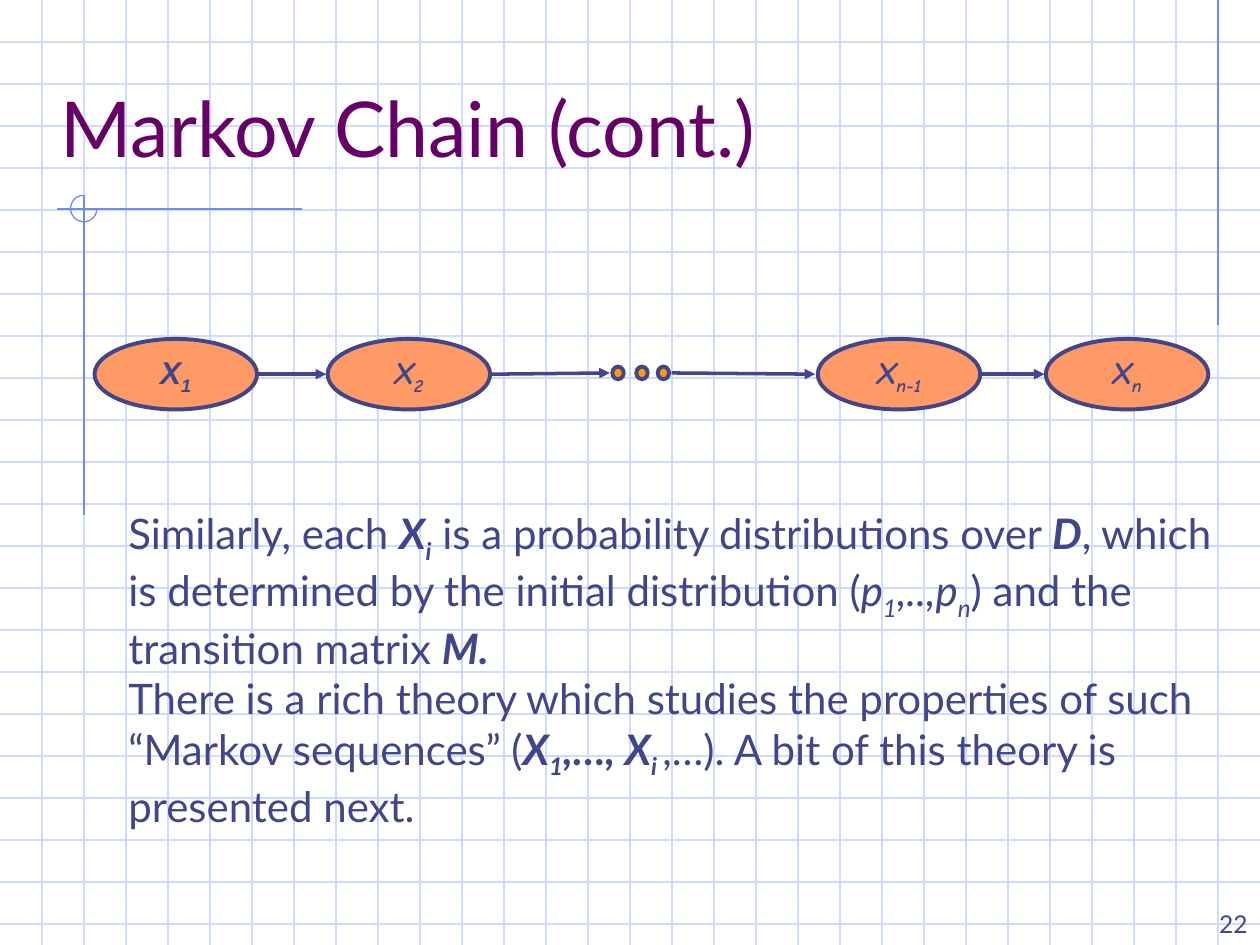
from math import ceil

from lxml import etree
from pptx import Presentation
from pptx.dml.color import RGBColor
from pptx.enum.shapes import MSO_CONNECTOR, MSO_SHAPE
from pptx.enum.text import MSO_ANCHOR, PP_ALIGN
from pptx.oxml.ns import qn
from pptx.util import Inches, Pt

STRAIGHT = MSO_CONNECTOR.STRAIGHT
OVAL, ARC = MSO_SHAPE.OVAL, MSO_SHAPE.ARC
TOP, MIDDLE, BOTTOM = MSO_ANCHOR.TOP, MSO_ANCHOR.MIDDLE, MSO_ANCHOR.BOTTOM
LEFT, CENTER, RIGHT = PP_ALIGN.LEFT, PP_ALIGN.CENTER, PP_ALIGN.RIGHT
INK, PLUM, GRID, ACCENT = "40458C", "660066", "CFDBFD", "6F89F7"
NODE_FILL, DOT_FILL = "FF9966", "FF9900"


def color(value):
    return RGBColor.from_string(value)


def write(tf, paragraphs, size=24, font="Lato", fill=INK, align=LEFT, anchor=TOP, wrap=True):
    tf.word_wrap = wrap
    tf.vertical_anchor = anchor
    tf.margin_left = tf.margin_right = Inches(0.1)
    tf.margin_top = tf.margin_bottom = Inches(0.05)
    for i, runs in enumerate(paragraphs):
        p = tf.add_paragraph() if i else tf.paragraphs[0]
        p.alignment = align
        p.space_before = Pt(0)
        for text, style in runs:
            r = p.add_run()
            r.text = text
            r.font.name = font
            r.font.size = Pt(size)
            r.font.bold = "b" in style
            r.font.italic = "i" in style
            r.font.color.rgb = color(fill)
            if "s" in style:
                r.font._element.set("baseline", "-25000")


def add_text(s, box, paragraphs, **fmt):
    tb = s.shapes.add_textbox(*map(Inches, box))
    write(tb.text_frame, paragraphs, **fmt)


def add_line(s, x1, y1, x2, y2, stroke, width=0.75, arrow=False):
    line = s.shapes.add_connector(STRAIGHT, *map(Inches, (x1, y1, x2, y2)))
    line.line.color.rgb = color(stroke)
    line.line.width = Pt(width)
    if arrow:
        etree.SubElement(line.line._get_or_add_ln(), qn("a:tailEnd"), type="triangle")
    etree.SubElement(line._element.spPr, qn("a:effectLst"))


def add_shape(s, kind, box, fill, stroke, width):
    sp = s.shapes.add_shape(kind, *map(Inches, box))
    sp.shadow.inherit = False
    if fill:
        sp.fill.solid()
        sp.fill.fore_color.rgb = color(fill)
    else:
        sp.fill.background()
    sp.line.color.rgb = color(stroke)
    sp.line.width = Pt(width)
    return sp


def draw_background(s, width, height, per_inch=3):
    for i in range(1, ceil(height * per_inch)):
        add_line(s, 0, i / per_inch, width, i / per_inch, GRID)
    for i in range(1, ceil(width * per_inch)):
        add_line(s, i / per_inch, 0, i / per_inch, height, GRID)
    right, left = 29 / per_inch, 2 / per_inch
    add_line(s, right, 0, right, 2.58, ACCENT)
    add_line(s, 2.4, 1.66, 0.45, 1.66, ACCENT)
    add_line(s, left, 1.55, left, 4.09, ACCENT)
    arc = add_shape(s, ARC, (0.56, 1.55, 0.21, 0.21), None, ACCENT, 0.75)
    arc.adjustments[0] = 0
    arc.adjustments[1] = 162


def draw_title(s, box, text):
    title = s.shapes.title
    title.left, title.top, title.width, title.height = map(Inches, box)
    write(title.text_frame, [[(text, "")]], size=44, fill=PLUM, anchor=BOTTOM)
    s.shapes._spTree.append(title._element)


def draw_chain(s, left, top, node_w, node_h):
    nodes = [(0, "1", "Arial"), (1.85, "2", "Comic Neue"),
             (5.74, "n-1", "Comic Neue"), (7.55, "n", "Comic Neue")]
    for dx, index, font in nodes:
        node = add_shape(s, OVAL, (left + dx, top, node_w, node_h), NODE_FILL, INK, 2.25)
        write(node.text_frame, [[("X", "bi"), (index, "bis")]], size=18, font=font,
              align=CENTER, anchor=MIDDLE, wrap=False)
    for dx in (4.11, 4.3, 4.47):
        add_shape(s, OVAL, (left + dx, top + 0.22, 0.09, 0.1), DOT_FILL, INK, 2.25)
    mid, dots = top + node_h / 2, top + 0.27
    arrows = [(1.3, mid, 1.84, mid), (7.04, mid, 7.54, mid),
              (3.15, mid, 4.09, dots), (4.58, dots, 5.72, mid)]
    for x1, y1, x2, y2 in arrows:
        add_line(s, left + x1, y1, left + x2, y2, INK, 2, arrow=True)


def draw_body(s, box):
    add_text(s, box, [
        [("Similarly, each ", ""), ("X", "bi"), ("i", "bis"),
         (" is a probability distributions over ", ""), ("D", "bi"),
         (", which is determined by the initial distribution (", ""),
         ("p", "i"), ("1", "is"), (",..,p", "i"), ("n", "is"),
         (") and the transition matrix ", ""), ("M.", "bi")],
        [("There is a rich theory which studies the properties of such “Markov sequences” (", ""),
         ("X", "bi"), ("1", "bis"), (",…, X", "bi"), ("i ", "bis"),
         (",…). A bit of this theory is presented next.", "")],
    ])


def main():
    prs = Presentation()
    prs.slide_width, prs.slide_height = Inches(10), Inches(7.5)
    s = prs.slides.add_slide(prs.slide_layouts[5])
    s.background.fill.solid()
    s.background.fill.fore_color.rgb = color("FFFFFF")
    draw_background(s, 10, 7.5)
    add_text(s, (9.54, 7.13, 0.46, 0.37), [[("22", "")]], size=14, align=RIGHT, anchor=BOTTOM)
    draw_title(s, (0.38, 0.17, 9.2, 1.25), "Markov Chain (cont.)")
    draw_chain(s, 0.75, 2.69, 1.29, 0.56)
    draw_body(s, (0.92, 3.98, 8.84, 2.67))
    prs.save("out.pptx")


if __name__ == "__main__":
    main()
